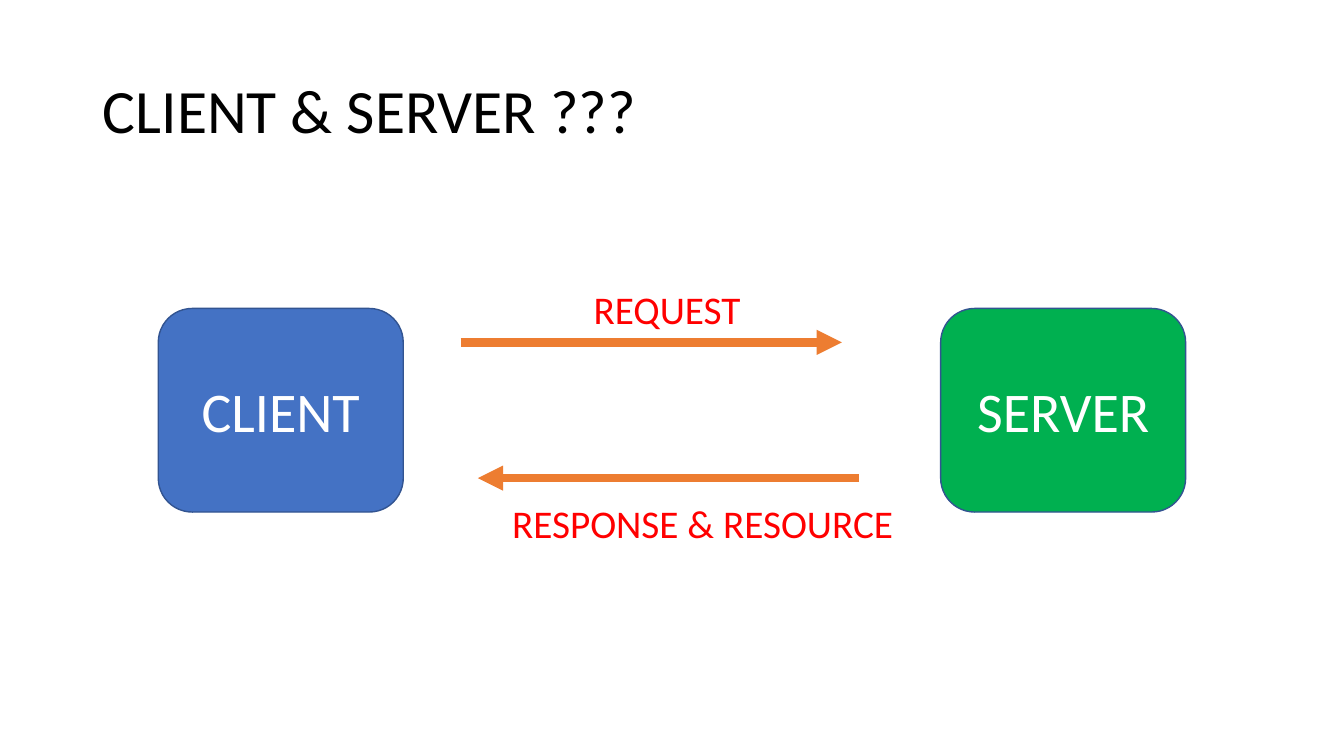
from pptx import Presentation
from pptx.dml.color import RGBColor
from pptx.enum.shapes import MSO_CONNECTOR, MSO_SHAPE
from pptx.enum.text import MSO_ANCHOR, MSO_AUTO_SIZE, PP_ALIGN
from pptx.oxml.ns import qn
from pptx.util import Inches, Pt
from lxml import etree

ROUNDED = MSO_SHAPE.ROUNDED_RECTANGLE
STRAIGHT = MSO_CONNECTOR.STRAIGHT
MIDDLE = MSO_ANCHOR.MIDDLE
LEFT, CENTER = PP_ALIGN.LEFT, PP_ALIGN.CENTER
FIT_SHAPE, NO_FIT = MSO_AUTO_SIZE.SHAPE_TO_FIT_TEXT, MSO_AUTO_SIZE.NONE

FONT = "Calibri"
BLUE, GREEN, OUTLINE = "4472C4", "00B050", "325491"
ORANGE, RED, WHITE, BLACK = "ED7D31", "FF0000", "FFFFFF", "000000"


def color(value):
    return RGBColor.from_string(value)


def inches(box):
    return [Inches(v) for v in box]


def write(tf, text, size, hex_color, align=LEFT):
    tf.text = text
    p = tf.paragraphs[0]
    p.alignment = align
    p.font.name, p.font.size = FONT, Pt(size)
    p.font.color.rgb = color(hex_color)
    return p


def add_title(s, text, box):
    title = s.shapes.title
    title.left, title.top, title.width, title.height = inches(box)
    tf = title.text_frame
    tf.word_wrap, tf.auto_size, tf.vertical_anchor = True, NO_FIT, MIDDLE
    write(tf, text, 44, BLACK).line_spacing = 0.9


def add_node(s, text, fill, box):
    node = s.shapes.add_shape(ROUNDED, *inches(box))
    node.shadow.inherit = False
    node.fill.solid()
    node.fill.fore_color.rgb = color(fill)
    node.line.color.rgb = color(OUTLINE)
    node.line.width = Pt(1)
    node.text_frame.vertical_anchor = MIDDLE
    write(node.text_frame, text, 40, WHITE, CENTER)


def add_arrow(s, x1, x2, y):
    arrow = s.shapes.add_connector(STRAIGHT, *inches((x1, y, x2, y)))
    arrow.line.color.rgb = color(ORANGE)
    arrow.line.width = Pt(6)
    etree.SubElement(arrow.line._get_or_add_ln(), qn("a:tailEnd"), type="triangle")
    etree.SubElement(arrow._element.spPr, qn("a:effectLst"))


def add_label(s, text, box):
    tf = s.shapes.add_textbox(*inches(box)).text_frame
    tf.word_wrap, tf.auto_size = False, FIT_SHAPE
    write(tf, text, 28, RED)


def add_exchange(s, x, y, w, h):
    # Two equal nodes at the ends of the box
    node_w = 2.43
    add_node(s, "CLIENT", BLUE, (x, y, node_w, h))
    add_node(s, "SERVER", GREEN, (x + w - node_w, y, node_w, h))

    # Arrows one sixth of the height from the top and bottom edges
    length, inset = 3.78, h / 6
    request_x, response_x = x + 3, x + 3.17
    add_arrow(s, request_x, request_x + length, y + inset)
    add_arrow(s, response_x + length, response_x, y + h - inset)

    # Labels above and below the arrows
    add_label(s, "REQUEST", (x + 4.22, y - 0.28, 1.67, 0.57))
    add_label(s, "RESPONSE & RESOURCE", (x + 3.41, y + h - 0.18, 4.02, 0.57))


def main():
    prs = Presentation()
    prs.slide_width, prs.slide_height = Inches(13.33), Inches(7.5)
    s = prs.slides.add_slide(prs.slide_layouts[5])
    add_title(s, "CLIENT & SERVER ???", (0.92, 0.4, 11.5, 1.45))
    add_exchange(s, 1.57, 3.06, 10.19, 2.02)
    prs.save("out.pptx")


if __name__ == "__main__":
    main()
